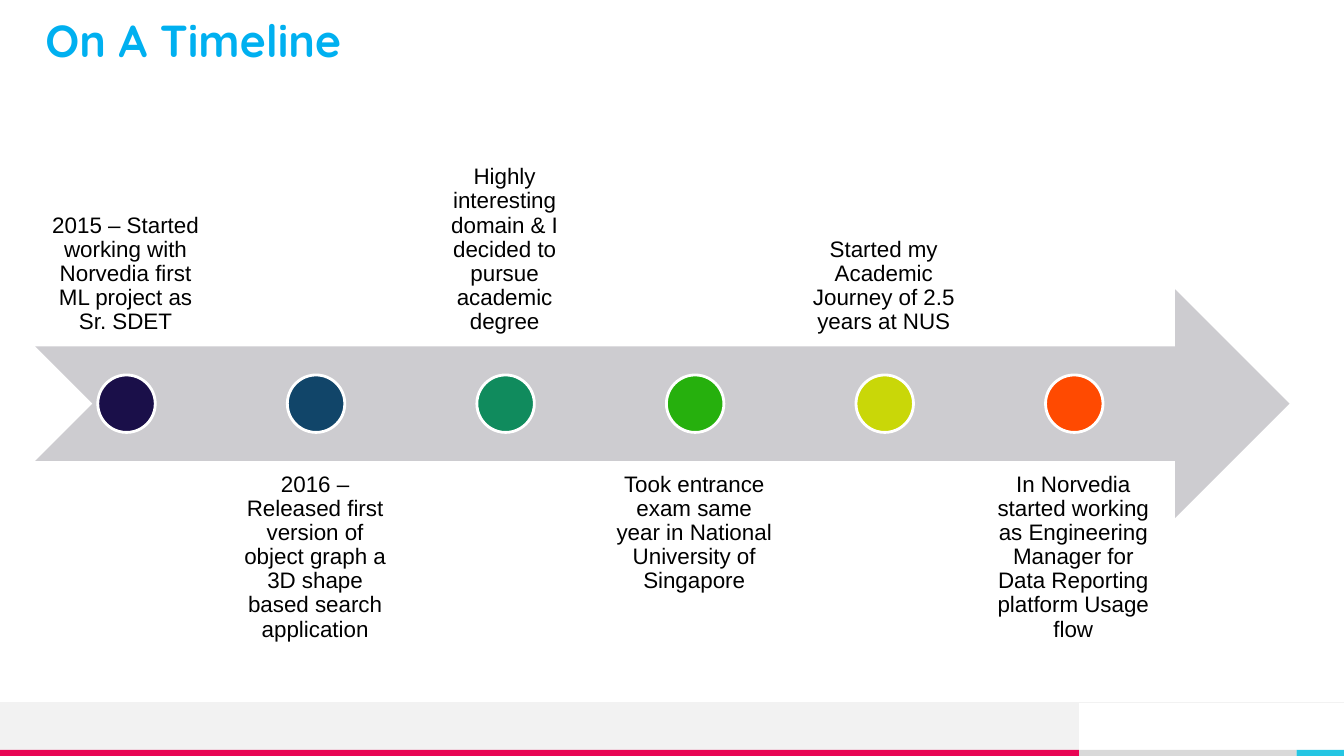
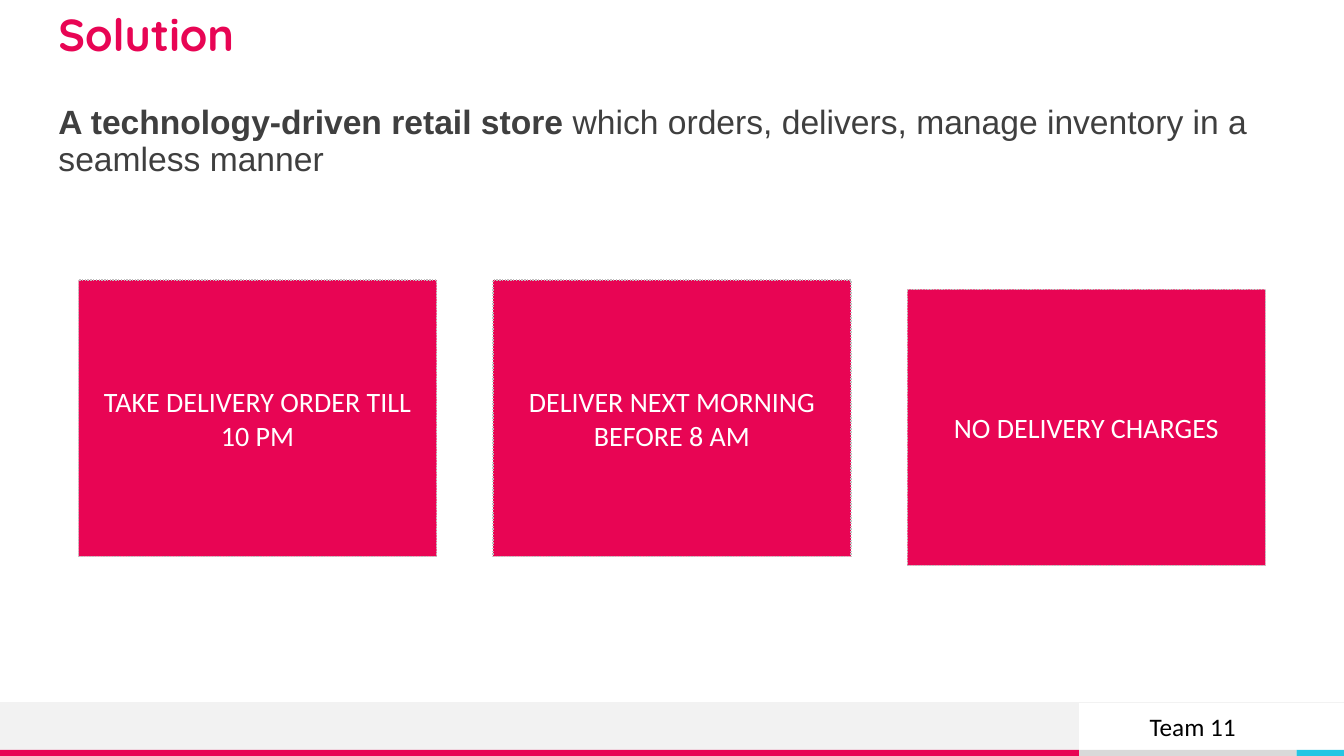
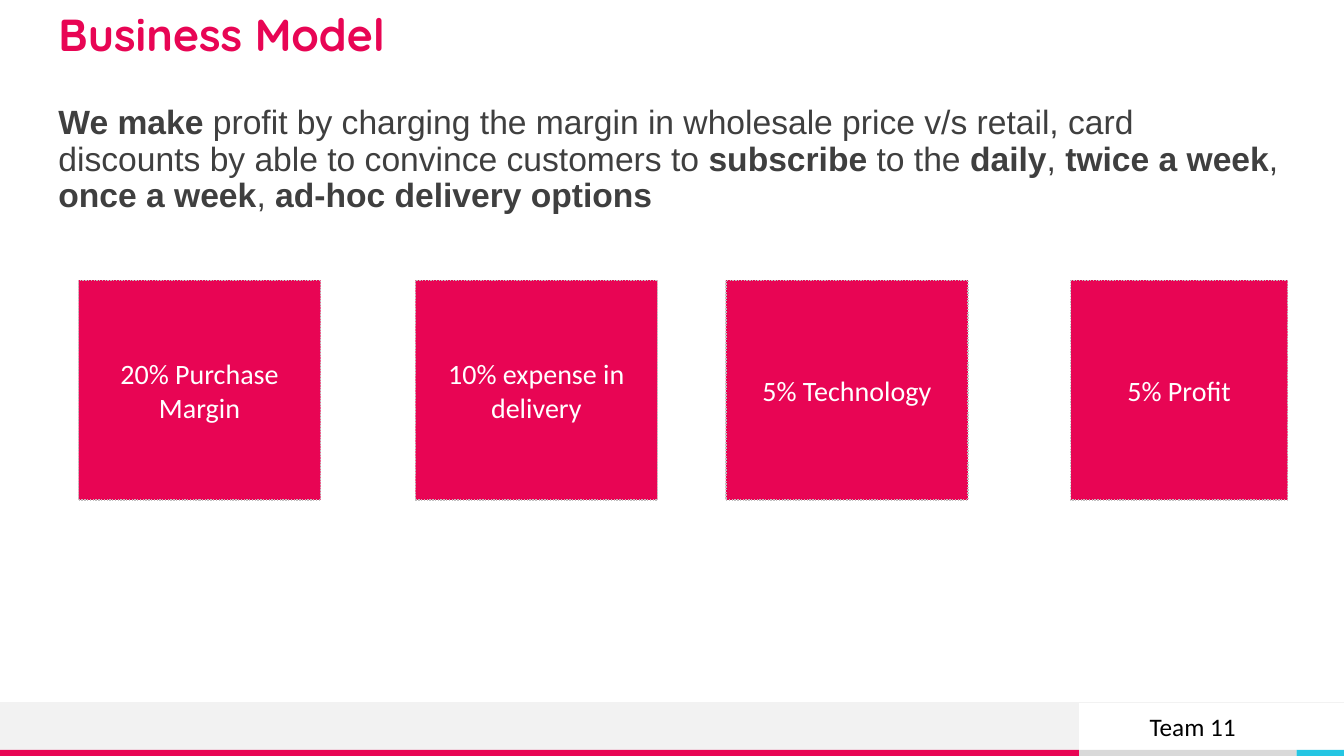
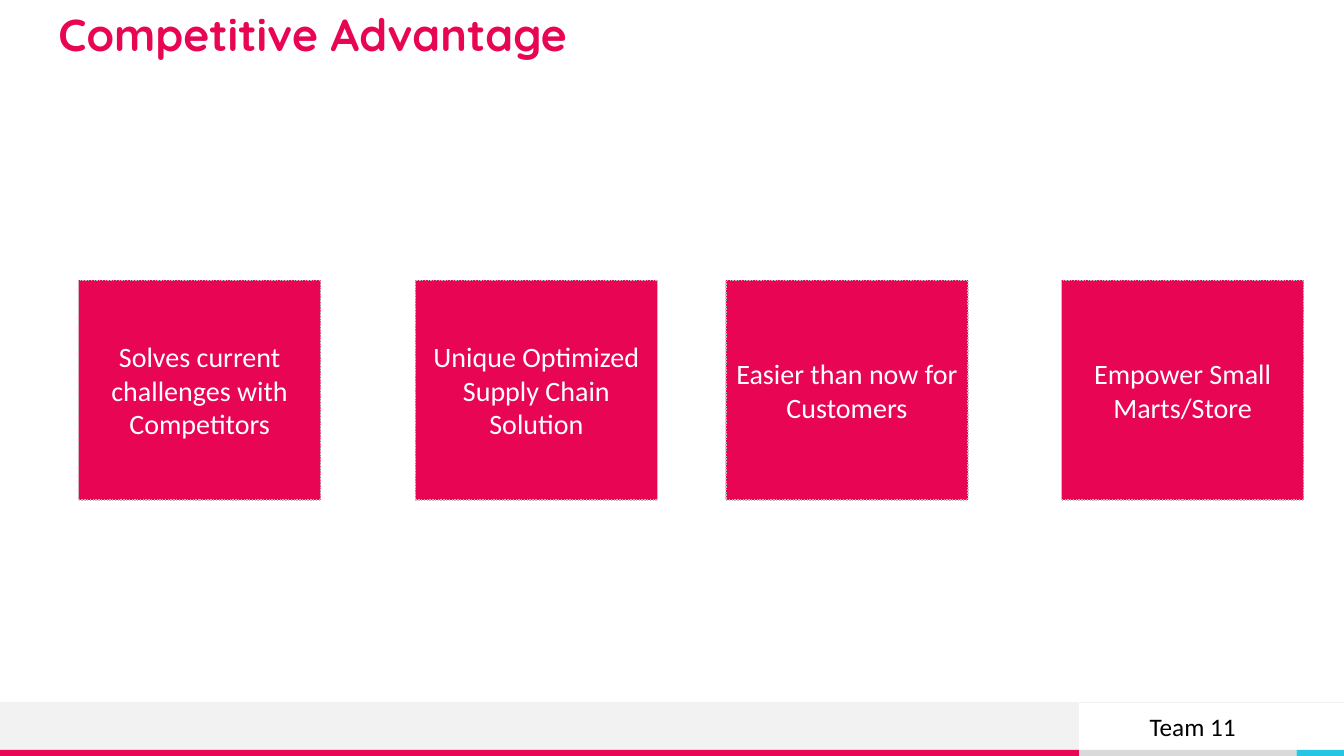
from lxml.etree import SubElement
from pptx import Presentation
from pptx.dml.color import RGBColor
from pptx.enum.dml import MSO_LINE
from pptx.enum.shapes import MSO_CONNECTOR, MSO_SHAPE
from pptx.enum.text import MSO_ANCHOR, MSO_AUTO_SIZE, PP_ALIGN
from pptx.oxml.ns import qn
from pptx.util import Inches, Pt

W, H = 13.33, 7.5
PINK, SKY, CYAN = "E80554", "00B0F0", "25C6E3"
WHITE, BLACK, DARK = "FFFFFF", "000000", "3F3F3F"
PALE, SILVER, ARROW, EDGE = "F2F2F2", "D9D9D9", "CDCCD0", "BFBFBF"


def write(tf, text, size=20, font="Calibri", color=BLACK, bold=False, align=PP_ALIGN.CENTER,
          anchor=MSO_ANCHOR.MIDDLE, spacing=1.0, inset=(0.1, 0.05)):
    """Fill a text frame; parts of the text between asterisks switch to bold."""
    tf.word_wrap = True
    tf.auto_size = MSO_AUTO_SIZE.NONE
    tf.vertical_anchor = anchor
    tf.margin_left = tf.margin_right = Inches(inset[0])
    tf.margin_top = tf.margin_bottom = Inches(inset[1])
    p = tf.paragraphs[0]
    p.alignment, p.line_spacing = align, spacing
    for i, part in enumerate(text.split("*")):
        if part:
            r = p.add_run()
            r.text = part
            r.font.name, r.font.size = font, Pt(size)
            r.font.bold = bold or i % 2 == 1
            r.font.color.rgb = RGBColor.from_string(color)


def draw(s, kind, x, y, w, h, fill, line=None, width=1):
    sp = s.shapes.add_shape(kind, Inches(x), Inches(y), Inches(w), Inches(h))
    sp.shadow.inherit = False
    sp.fill.solid()
    sp.fill.fore_color.rgb = RGBColor.from_string(fill)
    if line:
        sp.line.color.rgb = RGBColor.from_string(line)
        sp.line.width = Pt(width)
    else:
        sp.line.fill.background()
    return sp


prs = Presentation()
prs.slide_width, prs.slide_height = Inches(W), Inches(H)
layout = prs.slide_layouts[5]

# Slides with their titles
slides = []
for title, color, x, y, inset in [
    ("On A Timeline", SKY, 0.35, 0.09, 0.1),
    ("Solution", PINK, 0.45, 0, 0.13),
    ("Business Model", PINK, 0.45, 0, 0.13),
    ("Competitive Advantage", PINK, 0.45, 0, 0.13),
]:
    s = prs.slides.add_slide(layout)
    t = s.shapes.title
    t.left, t.top, t.width, t.height = Inches(x), Inches(y), Inches(12.42), Inches(0.84)
    write(t.text_frame, title, size=32, font="Quicksand", color=color, bold=True,
          align=PP_ALIGN.LEFT, anchor=MSO_ANCHOR.TOP, spacing=0.9, inset=(inset, inset))
    slides.append(s)

# Footer bands, drawn once and moved to the layout
BAND, STRIPE = 6.97, 7.44
SPLIT, CORNER = 10.7, 12.86
bands = [
    draw(slides[0], MSO_SHAPE.RECTANGLE, x, y, right - x, bottom - y, fill)
    for x, right, y, bottom, fill in [
        (SPLIT, CORNER, BAND, STRIPE, WHITE),
        (SPLIT, CORNER, STRIPE, H, SILVER),
        (0, SPLIT, BAND, STRIPE, PALE),
        (0, SPLIT, STRIPE, H, PINK),
        (CORNER, W, STRIPE, H, CYAN),
    ]
]
rule = slides[0].shapes.add_connector(
    MSO_CONNECTOR.STRAIGHT, Inches(W), Inches(BAND), Inches(0), Inches(BAND))
rule.line.color.rgb = RGBColor.from_string(PALE)
rule.line.width = Pt(0.75)
SubElement(rule.element.spPr, qn("a:effectLst"))
for sp in bands + [rule]:
    layout.shapes.element.append(sp.element)

# Timeline: labels alternate above and below the arrow
s = slides[0]
LEFT, PITCH, ROW, DOT = 0.35, 1.88, 2.27, 0.57
draw(s, MSO_SHAPE.NOTCHED_RIGHT_ARROW, LEFT, 2.87, 12.44, ROW, ARROW)
for i, (color, text) in enumerate([
    ("1A0F49", "2015 – Started working with Norvedia first ML project as Sr. SDET"),
    ("114569", "2016 – Released first version of object graph a 3D shape based search application"),
    ("108B5D", "Highly interesting domain & I decided to pursue academic degree"),
    ("26B00D", "Took entrance exam same year in National University of Singapore"),
    ("C9D708", "Started my Academic Journey of 2.5 years at NUS"),
    ("FF4A01", "In Norvedia started working as Engineering Manager for Data Reporting "
               "platform Usage flow"),
]):
    x = LEFT + i * PITCH
    y, anchor = (4.57, MSO_ANCHOR.TOP) if i % 2 else (1.17, MSO_ANCHOR.BOTTOM)
    tb = s.shapes.add_textbox(Inches(x), Inches(y), Inches(1.79), Inches(ROW))
    write(tb.text_frame, text, size=16, font="Arial", anchor=anchor, spacing=0.9,
          inset=(0.12, 0.12))
    draw(s, MSO_SHAPE.OVAL, x + 0.62, 3.72, DOT, DOT, color, WHITE, 2)

# Lead text, cards (left, top, width, text) and team label
for s, lead, height, cards in [
    (slides[1],
     "*A technology-driven retail store *which orders, delivers, manage inventory in a "
     "seamless manner", 2.74, [
         (0.78, 2.78, 3.55, "TAKE DELIVERY ORDER TILL 10 PM"),
         (4.89, 2.78, 3.55, "DELIVER NEXT MORNING BEFORE 8 AM"),
         (9, 2.87, 3.55, "NO DELIVERY CHARGES")]),
    (slides[2],
     "*We make *profit by charging the margin in wholesale price v/s retail, card discounts "
     "by able to convince customers to *subscribe* to the *daily*, *twice a week*, "
     "*once a week*, *ad-hoc delivery options*", 2.18, [
         (0.78, 2.78, 2.4, "20% Purchase Margin"),
         (4.12, 2.78, 2.4, "10% expense in delivery"),
         (7.2, 2.78, 2.4, "5% Technology"),
         (10.62, 2.78, 2.15, "5% Profit")]),
    (slides[3], None, 2.18, [
        (0.78, 2.78, 2.4, "Solves current challenges with Competitors"),
        (4.12, 2.78, 2.4, "Unique Optimized Supply Chain Solution"),
        (7.2, 2.78, 2.4, "Easier than now for Customers"),
        (10.53, 2.78, 2.4, "Empower Small Marts/Store")]),
]:
    if lead:
        tb = s.shapes.add_textbox(Inches(0.45), Inches(0.92), Inches(12.42), Inches(1.6))
        write(tb.text_frame, lead, size=24, font="Arial", color=DARK, align=PP_ALIGN.LEFT,
              anchor=MSO_ANCHOR.TOP, spacing=0.9, inset=(0.13, 0.13))
    for x, y, w, text in cards:
        card = draw(s, MSO_SHAPE.RECTANGLE, x, y, w, height, PINK, EDGE)
        card.line.dash_style = MSO_LINE.ROUND_DOT
        write(card.text_frame, text, color=WHITE)
    tb = s.shapes.add_textbox(Inches(10.75), Inches(BAND), Inches(2.16), Inches(STRIPE - BAND))
    write(tb.text_frame, "Team 11", size=18)

prs.save("out.pptx")
